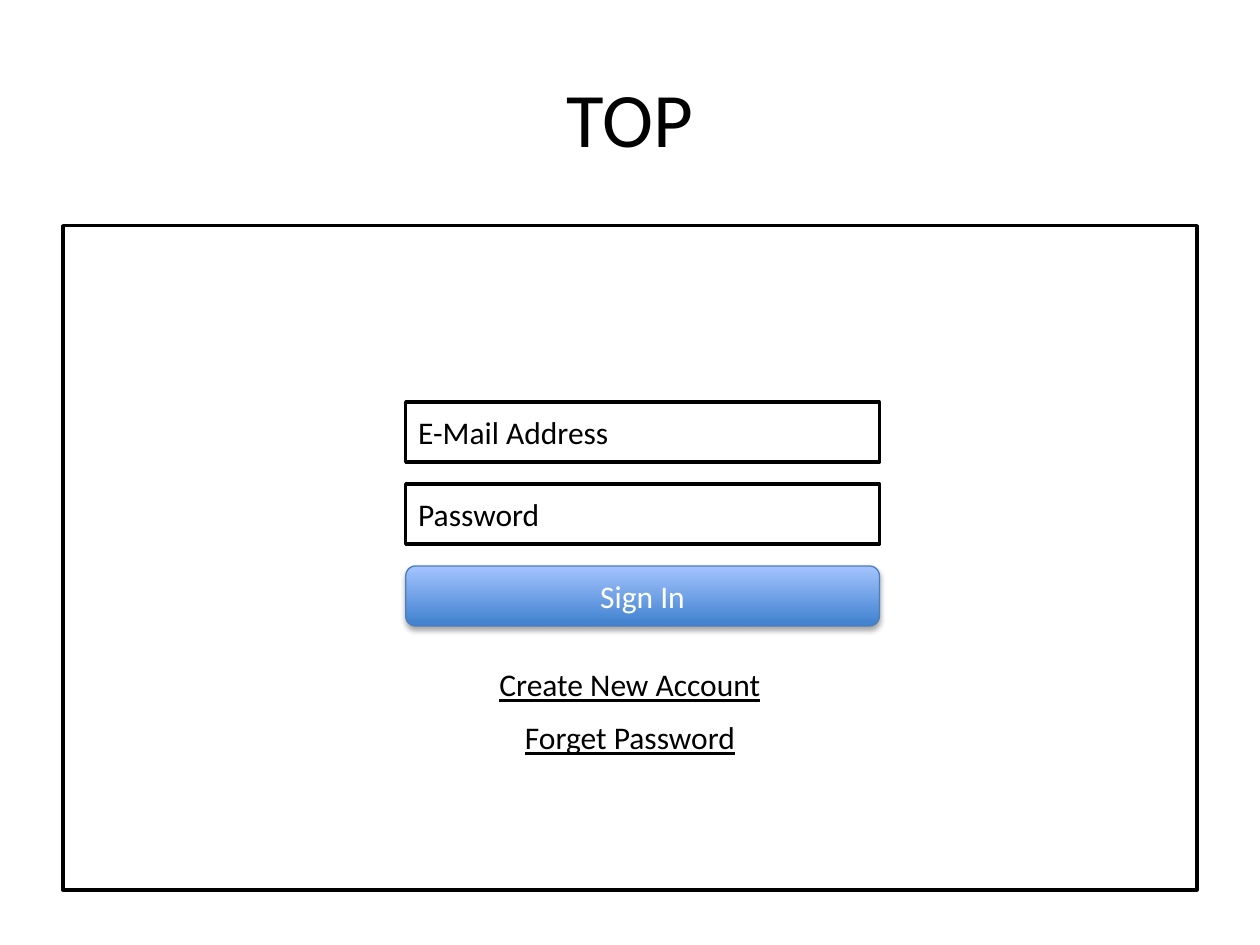
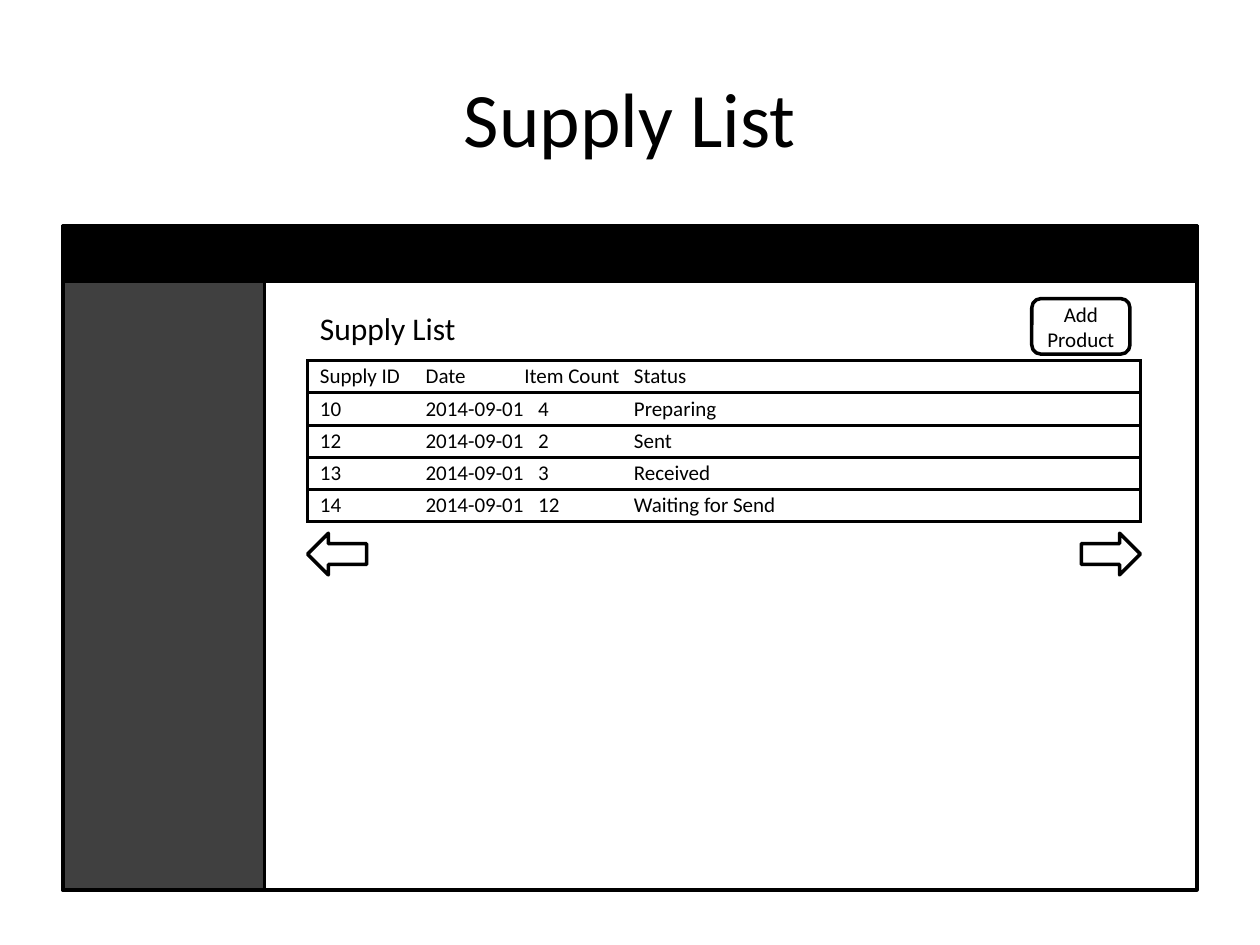
from dataclasses import dataclass

from pptx import Presentation
from pptx.dml.color import RGBColor
from pptx.enum.shapes import MSO_SHAPE as Shape
from pptx.enum.text import MSO_ANCHOR as Anchor, PP_ALIGN as Align
from pptx.oxml import parse_xml
from pptx.oxml.ns import nsdecls, qn
from pptx.util import Cm, Pt


@dataclass(frozen=True)
class Theme:
    font: str = "Calibri"
    title_size: int = 44
    body_size: int = 18
    small_size: int = 12
    outline: float = 2
    thin_outline: float = 0.75
    ink: str = "000000"
    paper: str = "FFFFFF"
    sidebar: str = "404040"
    button_dark: str = "3F80CE"
    button_light: str = "A4C4FF"
    button_edge: str = "4B7EBC"


@dataclass(frozen=True)
class Box:
    left: float
    top: float
    width: float
    height: float

    def inner(self, left, top, width, height):
        return Box(self.left + left, self.top + top, width, height)

    def lengths(self):
        return Cm(self.left), Cm(self.top), Cm(self.width), Cm(self.height)


THEME = Theme()
TITLE = Box(1.27, 0.76, 22.86, 3.18)
SCREEN = Box(1.27, 4.55, 22.86, 13.39)
SUPPLIES = [
    ["Supply ID", "Date", "Item Count", "Status"],
    ["10", "2014-09-01", "4", "Preparing"],
    ["12", "2014-09-01", "2", "Sent"],
    ["13", "2014-09-01", "3", "Received"],
    ["14", "2014-09-01", "12", "Waiting for Send"],
]


def color(code):
    return RGBColor.from_string(code)


def write(frame, words, size=THEME.body_size, align=Align.LEFT,
          ink=THEME.ink, underline=None):
    frame.text = words
    paragraph = frame.paragraphs[0]
    paragraph.alignment = align
    font = paragraph.font
    font.name, font.size, font.underline = THEME.font, Pt(size), underline
    font.color.rgb = color(ink)


def add_text(slide, box, words, wrap=False, anchor=Anchor.TOP, **style):
    frame = slide.shapes.add_textbox(*box.lengths()).text_frame
    frame.word_wrap = wrap
    frame.vertical_anchor = anchor
    write(frame, words, **style)


def add_outlined(slide, box, kind=Shape.RECTANGLE, fill=THEME.paper,
                 words=None, **style):
    part = slide.shapes.add_shape(kind, *box.lengths())
    part.shadow.inherit = False
    if fill:
        part.fill.solid()
        part.fill.fore_color.rgb = color(fill)
    else:
        part.fill.background()
    part.line.color.rgb = color(THEME.ink)
    part.line.width = Pt(THEME.outline)
    if words:
        part.text_frame.vertical_anchor = Anchor.MIDDLE
        write(part.text_frame, words, **style)
    return part


def add_title(slide, box, words):
    add_text(slide, box, words, wrap=True, anchor=Anchor.MIDDLE,
             size=THEME.title_size, align=Align.CENTER)


def add_glossy_button(slide, box, words):
    button = add_outlined(slide, box, Shape.ROUNDED_RECTANGLE, words=words,
                          align=Align.CENTER, ink=THEME.paper)
    button.fill.gradient()
    button.fill.gradient_angle = 90
    for stop, code in zip(button.fill.gradient_stops,
                          (THEME.button_dark, THEME.button_light)):
        stop.color.rgb = color(code)
    button.line.color.rgb = color(THEME.button_edge)
    button.line.width = Pt(THEME.thin_outline)
    button.element.spPr.find(qn("a:effectLst")).append(parse_xml(
        f'<a:outerShdw {nsdecls("a")} blurRad="{Pt(3.1)}" dist="{Pt(1.8)}" '
        f'dir="5400000" rotWithShape="0"><a:srgbClr val="{THEME.ink}">'
        '<a:alpha val="35000"/></a:srgbClr></a:outerShdw>'))


def add_sign_in(slide, box):
    add_outlined(slide, box, fill=None)
    field_left, field_top, field_width, field_height, pitch = 6.91, 3.56, 9.55, 1.21, 1.65
    fields = [box.inner(field_left, field_top + row * pitch, field_width, field_height)
              for row in range(3)]
    for field, label in zip(fields, ("E-Mail Address", "Password")):
        add_outlined(slide, field, words=label)
    add_glossy_button(slide, fields[-1], "Sign In")
    links = (("Create New Account", 5.87), ("Forget Password", 4.85))
    for row, (link, width) in enumerate(links):
        add_text(slide, box.inner((box.width - width) / 2, 8.74 + row * 1.07, width, 1.02),
                 link, align=Align.CENTER, underline=True)


def set_borders(cell, visible):
    properties = cell._tc.get_or_add_tcPr()
    for position, side in enumerate("LRTB"):
        paint = (f'<a:solidFill><a:srgbClr val="{THEME.ink}"/></a:solidFill>'
                 if side in visible else "<a:noFill/>")
        properties.insert(position, parse_xml(
            f'<a:ln{side} {nsdecls("a")} w="{Pt(THEME.outline)}">{paint}</a:ln{side}>'))


def add_supply_table(slide, box):
    widths = [2.1, 2.27, 2.13]
    widths.append(box.width - sum(widths))
    indents = [0.25, 0.28, 0, 0.08]
    table = slide.shapes.add_table(len(SUPPLIES), len(widths), *box.lengths()).table
    table.first_row = table.horz_banding = False
    for column, width in zip(table.columns, widths):
        column.width = Cm(width)
    for row, supply in enumerate(SUPPLIES):
        table.rows[row].height = Cm(box.height / len(SUPPLIES))
        for column, words in enumerate(supply):
            cell = table.cell(row, column)
            shift = 0.28 if column == 2 and row else 0
            cell.margin_left = Cm(indents[column] + shift)
            cell.margin_right = cell.margin_top = cell.margin_bottom = 0
            cell.vertical_anchor = Anchor.MIDDLE
            cell.fill.solid()
            cell.fill.fore_color.rgb = color(THEME.paper)
            edge = {0: "L", len(widths) - 1: "R"}.get(column, "")
            set_borders(cell, "TB" + edge)
            write(cell.text_frame, words, size=THEME.small_size)


def add_supply_screen(slide, box):
    bar_height, sidebar_width = 1.12, 4.06
    add_outlined(slide, box, fill=None)
    add_outlined(slide, box.inner(0, 0, box.width, bar_height), fill=THEME.ink)
    add_outlined(slide, box.inner(0, bar_height, sidebar_width, box.height - bar_height),
                 fill=THEME.sidebar)
    list_left, list_width, arrow_width = 4.93, 16.79, 1.19
    add_text(slide, box.inner(list_left, 1.55, 3.3, 1.02), "Supply List")
    add_supply_table(slide, box.inner(list_left, 2.72, list_width, 3.25))
    arrows = ((Shape.LEFT_ARROW, list_left),
              (Shape.RIGHT_ARROW, list_left + list_width - arrow_width))
    for arrow, left in arrows:
        add_outlined(slide, box.inner(left, 6.2, arrow_width, 0.84), arrow)
    add_outlined(slide, box.inner(19.53, 1.47, 1.98, 1.12), Shape.ROUNDED_RECTANGLE,
                 words="Add Product", size=THEME.small_size, align=Align.CENTER)


deck = Presentation()
deck.slide_width, deck.slide_height = Cm(25.4), Cm(19.05)
for heading, add_screen in (("TOP", add_sign_in), ("Supply List", add_supply_screen)):
    page = deck.slides.add_slide(deck.slide_layouts[6])
    add_title(page, TITLE, heading)
    add_screen(page, SCREEN)
deck.save("out.pptx")
